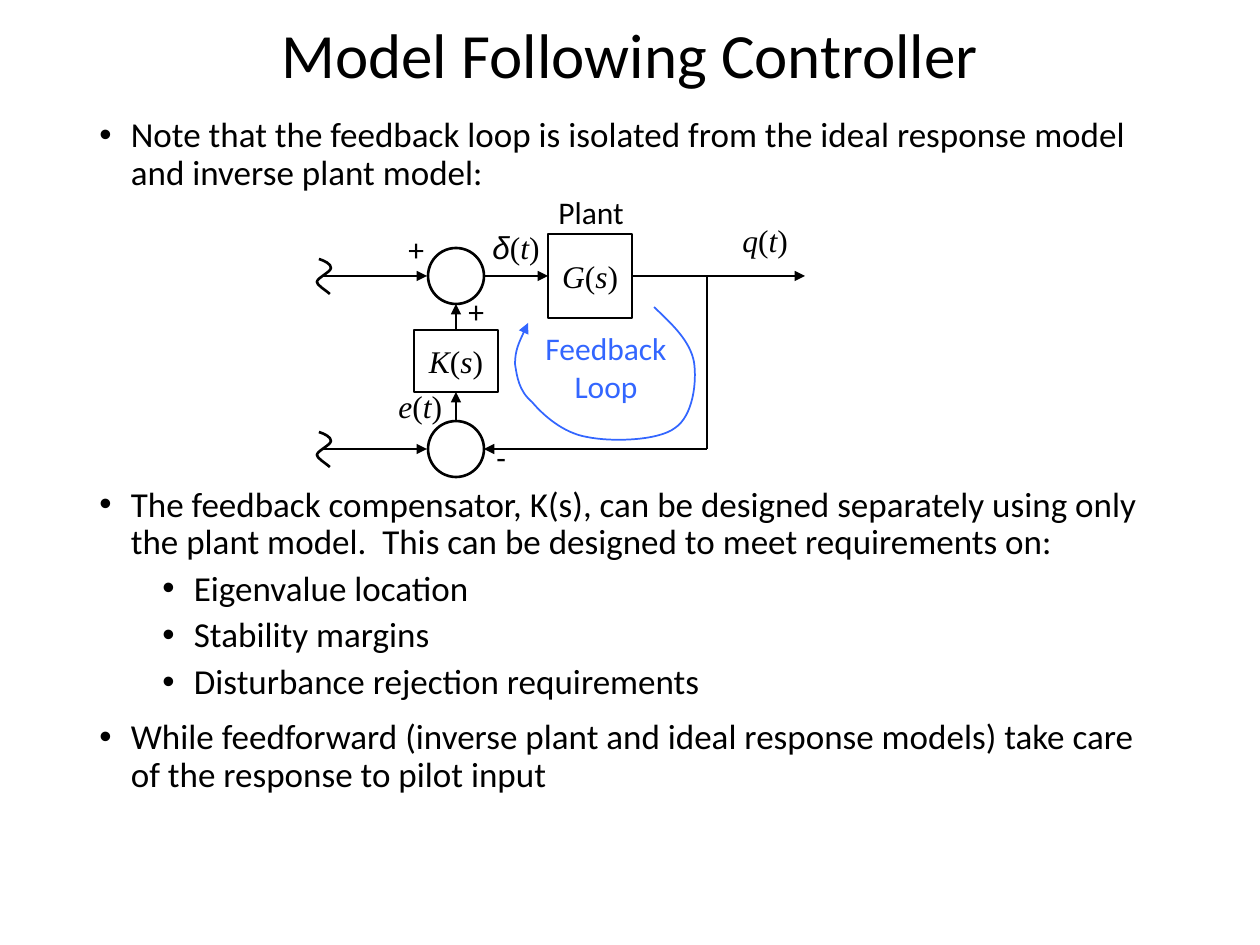
import lxml.etree
import pptx
import pptx.dml.color
import pptx.enum.shapes
import pptx.enum.text
import pptx.oxml.ns
import pptx.util

PX = 914400 / 126
THEME = {
    "ink": pptx.dml.color.RGBColor(0, 0, 0),
    "paper": pptx.dml.color.RGBColor(255, 255, 255),
    "loop": pptx.dml.color.RGBColor(0x33, 0x66, 0xFF),
    "font": "Calibri",
    "math": "Times New Roman",
    "greek": "Arial",
    "title": 36,
    "body": 20,
    "label": 18,
    "line": 1.5,
    "loop_line": 1,
}
qn = pptx.oxml.ns.qn
shape_type = pptx.enum.shapes.MSO_SHAPE
align = pptx.enum.text.PP_ALIGN
anchor = pptx.enum.text.MSO_ANCHOR


def add_text(para, text, size, color="ink", math=False):
    for part in text if math else [text]:
        span = para.add_run()
        span.text = part
        span.font.size = pptx.util.Pt(THEME[size])
        span.font.color.rgb = THEME[color]
        span.font.name = THEME["font"]
        if math:
            span.font.name = THEME["greek" if part == "δ" else "math"]
            span.font.italic = part.isalpha()


def draw_line(item, color="ink", width="line", arrow=False):
    item.line.color.rgb = THEME[color]
    item.line.width = pptx.util.Pt(THEME[width])
    properties = item._element.spPr
    if arrow:
        outline = properties.find(qn("a:ln"))
        lxml.etree.SubElement(outline, qn("a:tailEnd"), type="triangle")
    lxml.etree.SubElement(properties, qn("a:effectLst"))


deck = pptx.Presentation()
deck.slide_width = pptx.util.Inches(10)
deck.slide_height = pptx.util.Inches(7.5)
page = deck.slides.add_slide(deck.slide_layouts[6])
shapes = page.shapes

title = shapes.add_textbox(*[round(v * PX) for v in (87, 25, 1086, 67)])
title.text_frame.word_wrap = True
title.text_frame.vertical_anchor = anchor.MIDDLE
para = title.text_frame.paragraphs[0]
para.alignment = align.CENTER
para.line_spacing = 0.9
add_text(para, "Model Following Controller", "title")

body = shapes.add_textbox(*[round(v * PX) for v in (87, 111, 1086, 777)])
body.text_frame.word_wrap = True
bullets = [
    (0, 10, "Note that the feedback loop is isolated from the ideal response model and inverse plant model:"),
    (0, 168, "The feedback compensator, K(s), can be designed separately using only the plant model.  "
             "This can be designed to meet requirements on:"),
    (1, 5, "Eigenvalue location"),
    (1, 5, "Stability margins"),
    (1, 5, "Disturbance rejection requirements"),
    (0, 10, "While feedforward (inverse plant and ideal response models) take care of the response to pilot input"),
]
for index, (level, gap, text) in enumerate(bullets):
    para = body.text_frame.add_paragraph() if index else body.text_frame.paragraphs[0]
    para.level = level
    para.line_spacing = 0.9
    para.space_before = pptx.util.Pt(gap)
    settings = para._p.get_or_add_pPr()
    settings.set("marL", str(pptx.util.Inches(0.25 + 0.5 * level)))
    settings.set("indent", str(pptx.util.Inches(-0.25)))
    lxml.etree.SubElement(settings, qn("a:buFont"), typeface="Arial")
    lxml.etree.SubElement(settings, qn("a:buChar"), char="•")
    add_text(para, text, "body")

blocks = {}
for name, kind, bounds in [
    ("G(s)", shape_type.RECTANGLE, (548, 234, 84, 84)),
    ("K(s)", shape_type.RECTANGLE, (414, 330, 84, 62)),
    ("upper sum", shape_type.OVAL, (428, 248, 56, 56)),
    ("lower sum", shape_type.OVAL, (428, 421, 56, 56)),
]:
    box = shapes.add_shape(kind, *[round(v * PX) for v in bounds])
    box.fill.solid()
    box.fill.fore_color.rgb = THEME["paper"]
    draw_line(box)
    blocks[name] = box
    if kind == shape_type.RECTANGLE:
        box.text_frame.word_wrap = False
        box.text_frame.vertical_anchor = anchor.MIDDLE
        para = box.text_frame.paragraphs[0]
        para.alignment = align.CENTER
        add_text(para, name, "label", math=True)

plant, compensator = blocks["G(s)"], blocks["K(s)"]
for ends, arrow, source, target in [
    ((632, 276, 805, 276), True, (plant, 3), None),
    ((484, 276, 548, 276), True, None, (plant, 1)),
    ((707, 276, 707, 449), False, None, None),
    ((707, 449, 484, 449), True, None, None),
    ((456, 421, 456, 392), True, None, (compensator, 2)),
    ((456, 330, 456, 304), True, (compensator, 0), None),
    ((323, 276, 427, 276), True, None, None),
    ((323, 449, 427, 449), True, None, None),
]:
    wire = shapes.add_connector(
        pptx.enum.shapes.MSO_CONNECTOR.STRAIGHT, *[round(v * PX) for v in ends])
    if source:
        wire.begin_connect(*source)
    if target:
        wire.end_connect(*target)
    draw_line(wire, arrow=arrow)

squiggle = [(319, -17), (325, -15), (331, -12), (331, -8), (331, -4), (317, 2),
            (317, 6), (317, 9), (324, 13), (330, 18)]
loop = [(654, 307), (673, 325), (690, 341), (694, 362), (697, 382), (693, 416),
        (675, 428), (658, 441), (611, 442), (587, 437), (563, 433), (543, 415),
        (532, 402), (519, 391), (517, 377), (515, 364), (515, 350), (522, 336), (528, 323)]
curves = [([(x, y + middle) for x, y in squiggle], "ink", "line", False) for middle in (276, 449)]
curves.append((loop, "loop", "loop_line", True))
for points, color, width, arrow in curves:
    builder = shapes.build_freeform(*points[0], scale=PX)
    builder.add_line_segments(points[1:], close=False)
    curve = builder.convert_to_shape()
    curve.fill.background()
    draw_line(curve, color, width, arrow)
    segments = curve._element.xpath(".//a:lnTo")
    for first in range(0, len(segments), 3):
        bezier = lxml.etree.SubElement(segments[first].getparent(), qn("a:cubicBezTo"))
        for segment in segments[first:first + 3]:
            bezier.append(segment[0])
            segment.getparent().remove(segment)

for text, bounds, color, math, wrap in [
    ("Plant", (546, 187, 92, 50), "ink", False, False),
    ("δ(t)", (480, 222, 72, 50), "ink", True, False),
    ("q(t)", (730, 215, 72, 50), "ink", True, False),
    ("e(t)", (386, 381, 72, 50), "ink", True, False),
    ("+", (396, 224, 38, 50), "ink", False, True),
    ("+", (456, 286, 38, 50), "ink", False, True),
    ("-", (484, 432, 45, 50), "ink", False, True),
    ("Feedback Loop", (522, 323, 168, 89), "loop", False, True),
]:
    label = shapes.add_textbox(*[round(v * PX) for v in bounds])
    label.text_frame.word_wrap = wrap
    label.text_frame.auto_size = pptx.enum.text.MSO_AUTO_SIZE.SHAPE_TO_FIT_TEXT
    para = label.text_frame.paragraphs[0]
    para.alignment = align.CENTER if color == "loop" else align.LEFT
    add_text(para, text, "label", color, math)

deck.save("out.pptx")
